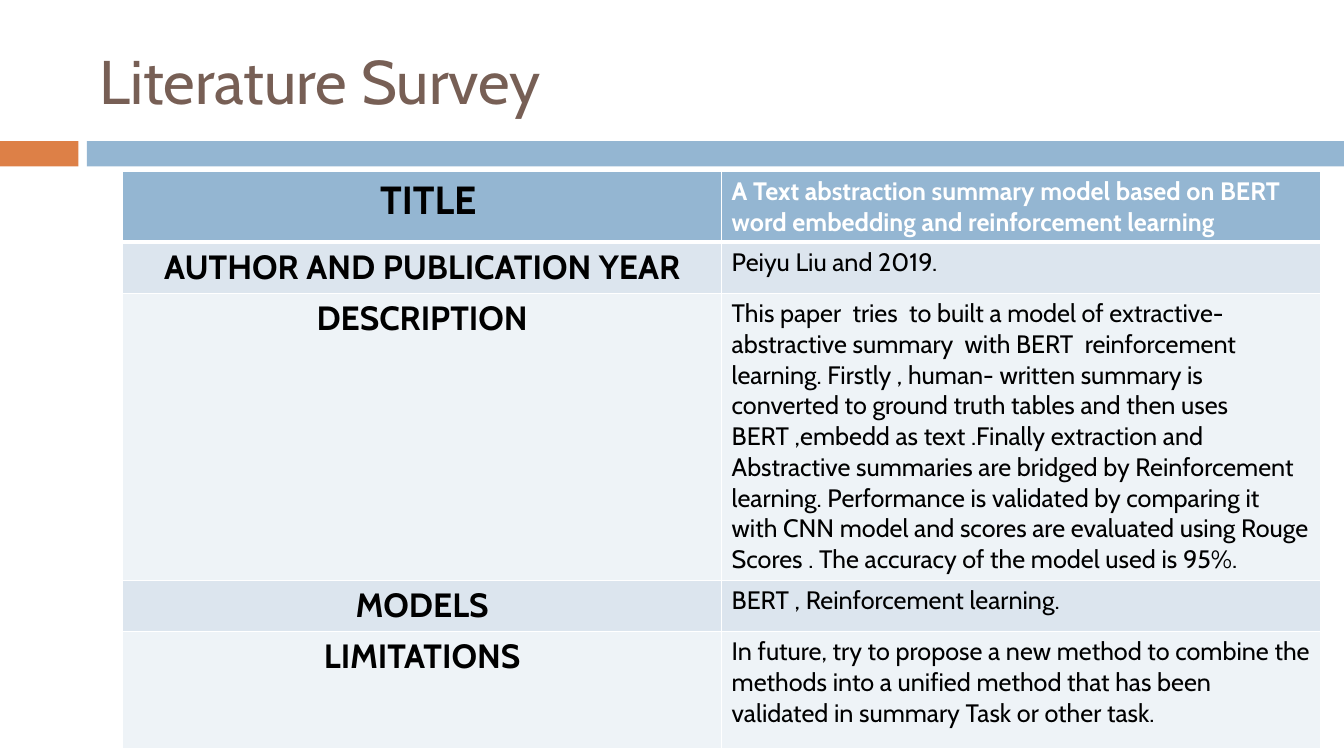
from dataclasses import dataclass

from lxml import etree
from pptx import Presentation
from pptx.dml.color import RGBColor
from pptx.enum import shapes, text
from pptx.oxml import ns
from pptx.util import Pt


@dataclass(frozen=True)
class Theme:
    font: str = "Cabin"
    orange: str = "DD8047"
    blue: str = "94B6D2"
    brown: str = "775F55"
    black: str = "000000"
    white: str = "FFFFFF"
    bands: tuple = ("DCE5EE", "EEF3F7")
    title_size: int = 44
    head_size: int = 28
    label_size: int = 24
    body_size: int = 18


THEME = Theme()
SLIDE_W, SLIDE_H = 960, 540

SURVEY = [
    ("TITLE", "A Text abstraction summary model based on BERT word embedding "
              "and reinforcement learning"),
    ("AUTHOR AND PUBLICATION YEAR", "Peiyu Liu and 2019."),
    ("DESCRIPTION",
     "This paper  tries  to built a model of extractive-abstractive summary  with BERT  "
     "reinforcement learning. Firstly , human- written summary is converted to ground truth "
     "tables and then uses BERT ,embedd as text .Finally extraction and Abstractive summaries "
     "are bridged by Reinforcement learning. Performance is validated by comparing it with CNN "
     "model and scores are evaluated using Rouge Scores . The accuracy of the model used is 95%."),
    ("MODELS", "BERT , Reinforcement learning."),
    ("LIMITATIONS",
     "In future, try to propose a new method to combine the methods into a unified method "
     "that has been validated in summary Task or other task."),
]
ROW_HEIGHTS = [50.5, 36.5, 205, 36.5, 83.5]


def style(p, size, color, bold=False):
    p.font.name = THEME.font
    p.font.size = Pt(size)
    p.font.bold = bold
    p.font.color.rgb = RGBColor.from_string(color)


def add_title(slide, x, y, w, h):
    sp = slide.shapes.add_textbox(Pt(x), Pt(y), Pt(w), Pt(h))
    tf = sp.text_frame
    tf.word_wrap = True
    tf.vertical_anchor = text.MSO_ANCHOR.MIDDLE
    p = tf.paragraphs[0]
    p.text = "Literature Survey"
    style(p, THEME.title_size, THEME.brown)


def add_divider(slide, x, y, w, h, accent_w=56, gap=6):
    """Draw a short accent bar and, after a gap, a bar filling the rest."""
    rest = x + accent_w + gap
    for left, width, color in ((x, accent_w, THEME.orange),
                               (rest, x + w - rest, THEME.blue)):
        sp = slide.shapes.add_shape(shapes.MSO_SHAPE.RECTANGLE,
                                    Pt(left), Pt(y), Pt(width), Pt(h))
        sp.shadow.inherit = False
        sp.fill.solid()
        sp.fill.fore_color.rgb = RGBColor.from_string(color)
        sp.line.fill.background()


def set_borders(cell, widths):
    """Give the cell white borders; widths maps L, R, T, B to points."""
    tc_pr = cell._tc.get_or_add_tcPr()
    for i, (side, width) in enumerate(widths.items()):
        ln = etree.Element(ns.qn(f"a:ln{side}"), w=str(Pt(width)))
        fill = etree.SubElement(ln, ns.qn("a:solidFill"))
        etree.SubElement(fill, ns.qn("a:srgbClr"), val=THEME.white)
        tc_pr.insert(i, ln)


def fill_cell(cell, words, size, color, bold, fill):
    cell.fill.solid()
    cell.fill.fore_color.rgb = RGBColor.from_string(fill)
    p = cell.text_frame.paragraphs[0]
    p.text = words
    style(p, size, color, bold)
    return p


def add_survey(slide, x, y, w):
    frame = slide.shapes.add_table(len(SURVEY), 2, Pt(x), Pt(y), Pt(w), Pt(sum(ROW_HEIGHTS)))
    table = frame.table
    for column in table.columns:
        column.width = Pt(w / 2)
    for i, (entry, height) in enumerate(zip(SURVEY, ROW_HEIGHTS)):
        table.rows[i].height = Pt(height)
        head = i == 0
        fill = THEME.blue if head else THEME.bands[(i - 1) % 2]
        label, body = table.cell(i, 0), table.cell(i, 1)
        p = fill_cell(label, entry[0], THEME.head_size if head else THEME.label_size,
                      THEME.black, True, fill)
        p.alignment = text.PP_ALIGN.CENTER
        fill_cell(body, entry[1], THEME.body_size,
                  THEME.white if head else THEME.black, head, fill)
        for cell in (label, body):
            set_borders(cell, {"L": 1, "R": 1, "T": 3 if i == 1 else 1, "B": 3 if head else 1})
    table.cell(0, 0).margin_left = Pt(16)


def main():
    prs = Presentation()
    prs.slide_width, prs.slide_height = Pt(SLIDE_W), Pt(SLIDE_H)
    slide = prs.slides.add_slide(prs.slide_layouts[6])
    add_divider(slide, 0, 100.8, SLIDE_W, 18)
    add_title(slide, 64, 18, 856, 78)
    add_survey(slide, 87.5, 122.5, 856)
    prs.save("out.pptx")


if __name__ == "__main__":
    main()
